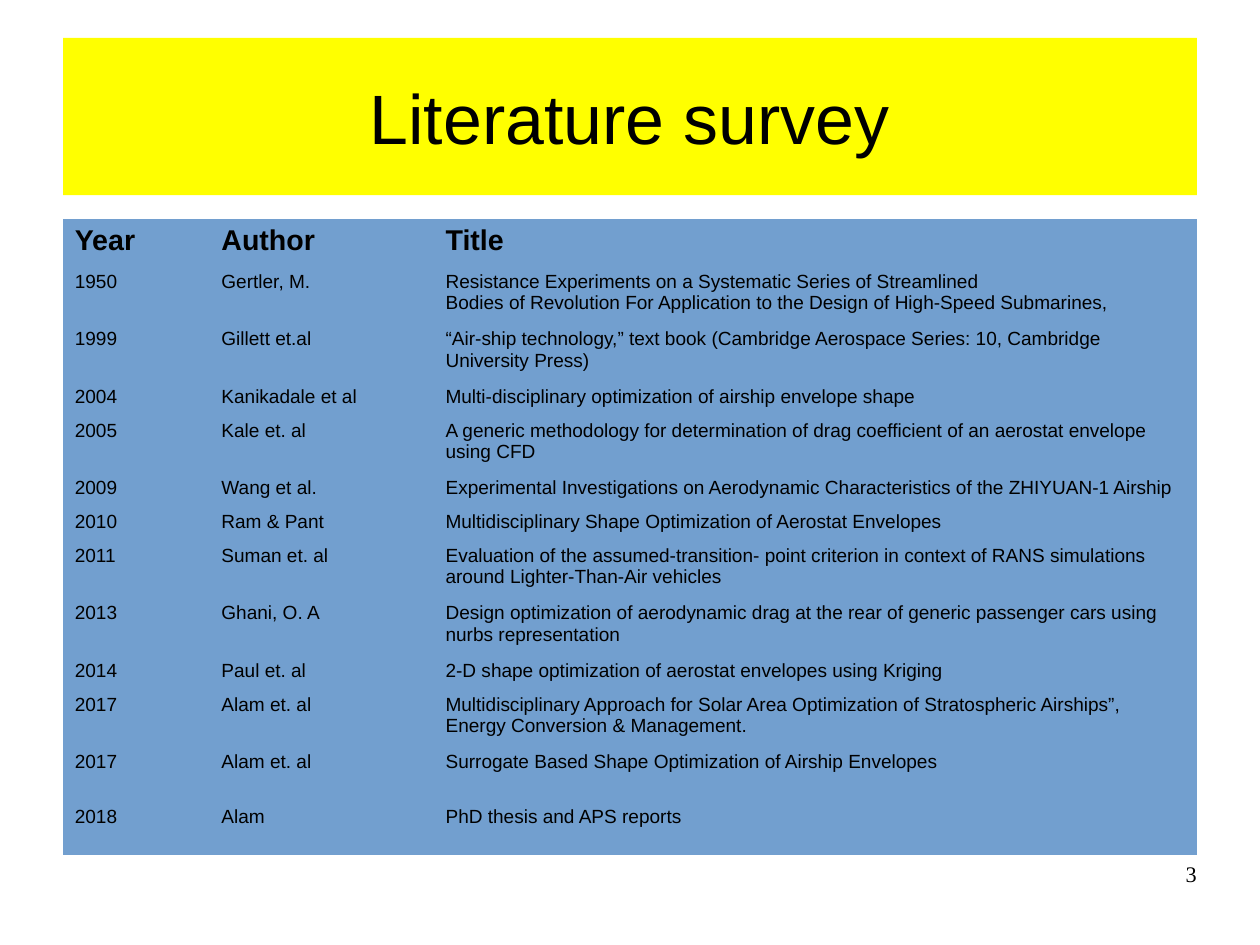
import pptx
import pptx.util
import pptx.dml.color
import pptx.enum.shapes
import pptx.enum.text
import pptx.oxml.ns
import lxml.etree

Pt = pptx.util.Pt
ALIGN = pptx.enum.text.PP_ALIGN
ANCHOR = pptx.enum.text.MSO_ANCHOR

COLORS = {"banner": "FFFF00", "table": "729FCF", "text": "000000"}
PLAIN_STYLE = "{2D5ABB26-0587-4C30-8999-92F81FD0307C}"

HEADER = ("Year", "Author", "Title")
HEADER_H, ONE_LINE_H, TWO_LINE_H, LAST_H = 29.2, 21.5, 36.1, 34.6
PAPERS = [
    (TWO_LINE_H, "1950", "Gertler, M.",
     "Resistance Experiments on a Systematic Series of Streamlined\n"
     "Bodies of Revolution For Application to the Design of High-Speed Submarines,"),
    (TWO_LINE_H, "1999", "Gillett et.al",
     "“Air-ship technology,” text book (Cambridge Aerospace Series: 10, "
     "Cambridge University Press)"),
    (ONE_LINE_H, "2004", "Kanikadale et al",
     "Multi-disciplinary optimization of airship envelope shape"),
    (TWO_LINE_H, "2005", "Kale et. al",
     "A generic methodology for determination of drag coefficient of an "
     "aerostat envelope using CFD"),
    (ONE_LINE_H, "2009", "Wang et al.",
     "Experimental Investigations on Aerodynamic Characteristics of the "
     "ZHIYUAN-1 Airship"),
    (ONE_LINE_H, "2010", "Ram & Pant",
     "Multidisciplinary Shape Optimization of Aerostat Envelopes"),
    (TWO_LINE_H, "2011", "Suman et. al",
     "Evaluation of the assumed-transition- point criterion in context of "
     "RANS simulations around Lighter-Than-Air vehicles"),
    (TWO_LINE_H, "2013", "Ghani, O. A",
     "Design optimization of aerodynamic drag at the rear of generic "
     "passenger cars using nurbs representation"),
    (ONE_LINE_H, "2014", "Paul et. al",
     "2-D shape optimization of aerostat envelopes using Kriging"),
    (TWO_LINE_H, "2017", "Alam et. al",
     "Multidisciplinary Approach for Solar Area Optimization of "
     "Stratospheric Airships”, Energy Conversion & Management."),
    (LAST_H, "2017", "Alam et. al",
     "Surrogate Based Shape Optimization of Airship Envelopes"),
    (LAST_H, "2018", "Alam", "PhD thesis and APS reports"),
]


def rgb(name):
    return pptx.dml.color.RGBColor.from_string(COLORS[name])


def write(tf, text, size, align=ALIGN.LEFT, bold=False, font="Arial"):
    tf.word_wrap = True
    tf.text = text
    for p in tf.paragraphs:
        p.alignment = align
        p.font.name = font
        p.font.size = Pt(size)
        p.font.bold = bold
        p.font.color.rgb = rgb("text")


def clear_margins(tf):
    tf.margin_left = tf.margin_top = tf.margin_right = tf.margin_bottom = 0


def remove_borders(cell):
    tcPr = cell._tc.get_or_add_tcPr()
    for i, side in enumerate(("a:lnL", "a:lnR", "a:lnT", "a:lnB")):
        ln = lxml.etree.Element(pptx.oxml.ns.qn(side))
        lxml.etree.SubElement(ln, pptx.oxml.ns.qn("a:noFill"))
        tcPr.insert(i, ln)


def add_banner(s, x, y, w, h):
    sp = s.shapes.add_shape(pptx.enum.shapes.MSO_SHAPE.RECTANGLE,
                            Pt(x), Pt(y), Pt(w), Pt(h))
    sp.shadow.inherit = False
    sp.fill.solid()
    sp.fill.fore_color.rgb = rgb("banner")
    sp.line.fill.background()
    tf = sp.text_frame
    clear_margins(tf)
    tf.vertical_anchor = ANCHOR.MIDDLE
    write(tf, "Literature survey", 44, ALIGN.CENTER)


def add_survey(s, x, y, w):
    rows = [(HEADER_H, *HEADER)] + PAPERS
    total = sum(row[0] for row in rows)
    table = s.shapes.add_table(len(rows), len(HEADER),
                               Pt(x), Pt(y), Pt(w), Pt(total)).table
    table.first_row = table.horz_banding = False
    table._tbl.tblPr.find(pptx.oxml.ns.qn("a:tableStyleId")).text = PLAIN_STYLE

    # The title column takes the width left by year and author
    year_w, author_w = 92.4, 141.2
    for col, width in zip(table.columns, (year_w, author_w, w - year_w - author_w)):
        col.width = Pt(width)

    for i, (height, *texts) in enumerate(rows):
        table.rows[i].height = Pt(height)
        for cell, text in zip(table.rows[i].cells, texts):
            cell.fill.solid()
            cell.fill.fore_color.rgb = rgb("table")
            remove_borders(cell)
            cell.margin_left = cell.margin_right = Pt(7.2)
            cell.margin_top = cell.margin_bottom = Pt(3.6)
            write(cell.text_frame, text, 12 if i else 18, bold=i == 0)


def add_page_number(s, x, y, w, h):
    tf = s.shapes.add_textbox(Pt(x), Pt(y), Pt(w), Pt(h)).text_frame
    clear_margins(tf)
    write(tf, "3", 14, ALIGN.RIGHT, font="Times New Roman")


def main():
    prs = pptx.Presentation()
    prs.slide_width, prs.slide_height = Pt(793.7), Pt(595.28)
    s = prs.slides.add_slide(prs.slide_layouts[6])

    left, width = 39.7, 714.2
    # Title banner
    add_banner(s, left, 23.8, width, 99.2)
    # Table of papers
    add_survey(s, left + 0.2, 138, width)
    # Page number, flush with the right edge
    number_w = 184.8
    add_page_number(s, left + width - number_w, 542.2, number_w, 41)

    prs.save("out.pptx")


if __name__ == "__main__":
    main()
